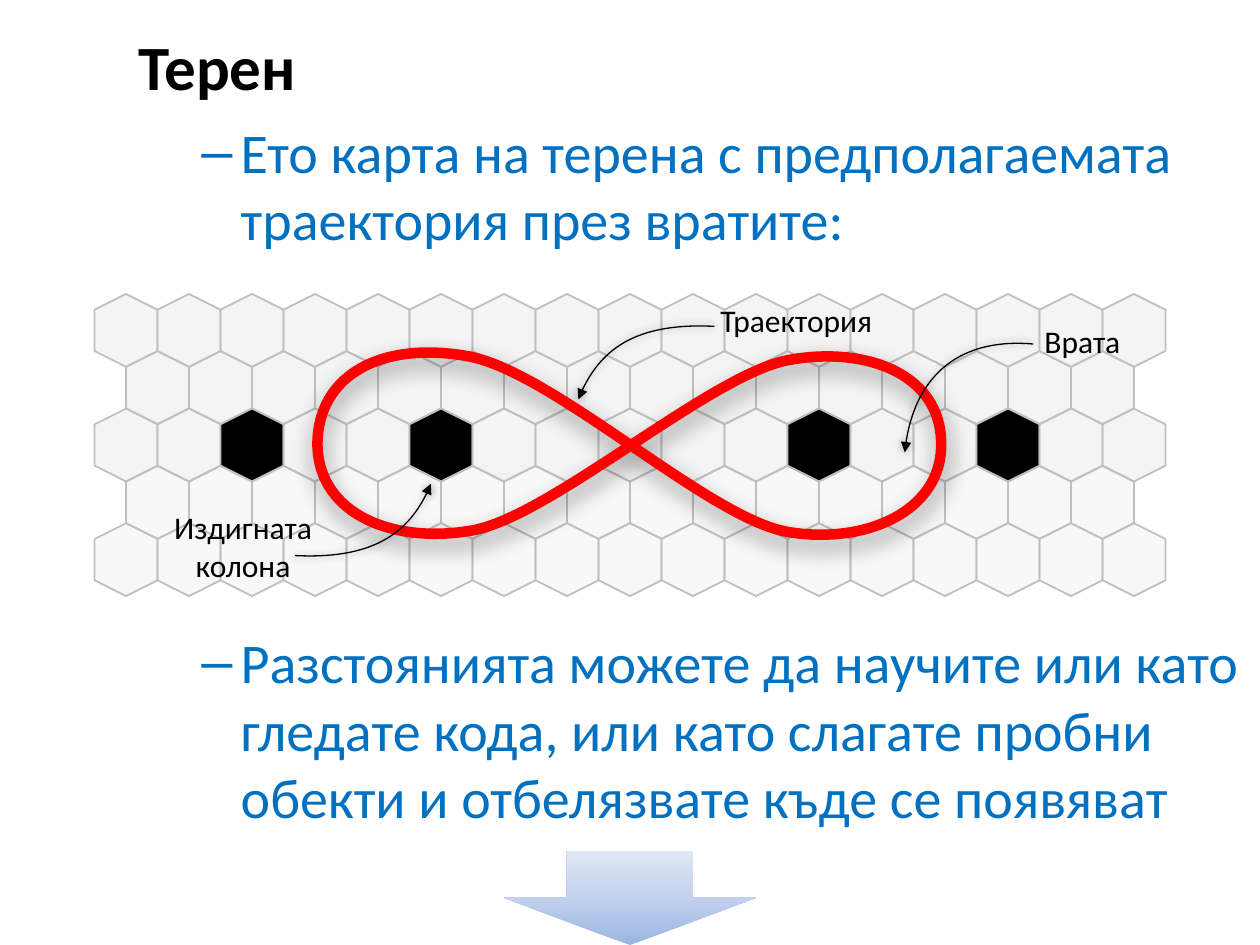
from copy import deepcopy

from lxml.etree import SubElement
from pptx import Presentation
from pptx.dml.color import RGBColor
from pptx.enum.shapes import MSO_SHAPE
from pptx.enum.text import MSO_ANCHOR, PP_ALIGN
from pptx.oxml.ns import qn
from pptx.util import Pt

HUES = {
    "ink": "000000", "blue": "0070C0", "red": "FF0000",
    "cell": "EAEAEA", "edge": "BFBFBF",
    "deep": "9AB5E4", "mid": "C2D1ED", "pale": "E1E8F5",
}
FONT = "Calibri"

# Field grid: column step, row step, hexagon height
STEP, ROW, TALL = 36, 32.76, 41.6
COLS, ROWS = 17, 5
POSTS = {(2, 2), (2, 5), (2, 11), (2, 14)}

# Each curve is a start point, then two handles and an end for each segment
TRACK = [
    (483.8, 85.4),
    (483.8, 45.8), (440.6, 29.3), (396, 37.9),
    (351.4, 46.6), (260.6, 127.2), (216, 135.1),
    (171.4, 143), (128.2, 126.5), (127.4, 86.2),
    (127.4, 45.8), (164.9, 26.4), (214.6, 35.8),
    (263.5, 45.8), (349.9, 127.2), (395.3, 135.8),
    (439.9, 143.8), (484.6, 124.3), (483.8, 85.4),
]
# Label, its box, and the pointer that leads from it
NOTES = [
    ("Врата", (513.4, 12.7, 102.2, 29),
     [(536.4, 28.6), (496.1, 25), (467.3, 46.6), (463, 90.5)]),
    ("Траектория", (349.9, 0.5, 102.2, 29),
     [(354.2, 18.5), (311, 16.3), (287.3, 32.2), (276.5, 60.2)]),
    ("Издигната колона", (33.8, 118.6, 102.2, 51),
     [(114.5, 149.5), (157.7, 151.7), (181.4, 135.8), (192.2, 108.5)]),
]


def rgb(name):
    return RGBColor.from_string(HUES[name])


def frame(slide, x, y, w, h):
    box = slide.shapes.add_textbox(Pt(x), Pt(y), Pt(w), Pt(h))
    box.text_frame.word_wrap = True
    box.text_frame.vertical_anchor = MSO_ANCHOR.TOP
    return box.text_frame


def write(par, text, size=18, hue="ink", bold=False, align=PP_ALIGN.LEFT,
          before=0, dash=False):
    run = par.add_run()
    run.text = text
    font = run.font
    font.name, font.size, font.bold = FONT, Pt(size), bold
    font.color.rgb = rgb(hue)
    par.alignment = align
    par.space_before = Pt(before)
    if dash:
        par.level = 1
        props = par._p.get_or_add_pPr()
        props.set("marL", str(Pt(58.5)))
        props.set("indent", str(Pt(-22.5)))
        SubElement(props, qn("a:buFont"), typeface="Arial")
        SubElement(props, qn("a:buChar"), char="–")


def shade(shape, blur, dist, angle):
    """Give the shape a soft black shadow."""
    shape.shadow.inherit = False
    effects = shape.element.spPr.find(qn("a:effectLst"))
    outer = SubElement(effects, qn("a:outerShdw"), blurRad=str(Pt(blur)),
                       dist=str(Pt(dist)), dir=str(angle * 60000),
                       algn="ctr", rotWithShape="0")
    color = SubElement(outer, qn("a:srgbClr"), val=HUES["ink"])
    SubElement(color, qn("a:alpha"), val="40000")


def curve(slide, x, y, points, hue, width, close=False):
    """Draw Bezier segments; the anchors give the outline's box."""
    spots = [(Pt(x + a), Pt(y + b)) for a, b in points]
    ends = spots[::3]
    pen = slide.shapes.build_freeform(*ends[0], scale=1)
    pen.add_line_segments(ends[1:], close=close)
    shape = pen.convert_to_shape()
    left, top = (min(axis) for axis in zip(*ends))
    for i, line in enumerate(list(shape.element.iter(qn("a:lnTo")))):
        bend = SubElement(line.getparent(), qn("a:cubicBezTo"))
        for a, b in spots[3 * i + 1:3 * i + 4]:
            SubElement(bend, qn("a:pt"), x=str(a - left), y=str(b - top))
        line.getparent().replace(line, bend)
    shape.fill.background()
    shape.line.color.rgb = rgb(hue)
    shape.line.width = Pt(width)
    return shape


def cell(slide, x, y, post, alpha):
    """Place an upright hexagon centred on x, y."""
    shape = slide.shapes.add_shape(
        MSO_SHAPE.HEXAGON, Pt(x - TALL / 2), Pt(y - STEP / 2),
        Pt(TALL), Pt(STEP))
    shape.rotation = 90
    shape.shadow.inherit = False
    shape.fill.solid()
    shape.fill.fore_color.rgb = rgb("ink" if post else "cell")
    if not post:
        color = shape.element.spPr.find(qn("a:solidFill"))[0]
        SubElement(color, qn("a:alpha"), val=str(alpha * 1000))
    shape.line.color.rgb = rgb("edge")
    shape.line.width = Pt(1)


def field(slide, x, y):
    for row in range(ROWS):
        odd = row % 2
        for col in range(COLS - odd):
            cell(slide, x + STEP * (col + (1 + odd) / 2),
                 y + TALL / 2 + ROW * row,
                 (row, col) in POSTS, 50 if row < 3 else 30)
    shade(curve(slide, x, y, TRACK, "red", 6, close=True), 13, 5, 80)
    for text, (dx, dy, w, h), points in NOTES:
        arrow = curve(slide, x, y, points, "ink", 0.75)
        shade(arrow, 5, 0, 0)
        SubElement(arrow.element.spPr.find(qn("a:ln")), qn("a:tailEnd"),
                   type="triangle")
        label = frame(slide, x + dx, y + dy, w, h)
        write(label.paragraphs[0], text, align=PP_ALIGN.CENTER)


def body(slide, x, y, w, h):
    text = frame(slide, x, y, w, h)
    write(text.paragraphs[0], "Терен", size=36, bold=True)
    points = [
        ("Ето карта на терена с предполагаемата траектория през вратите:", 8),
        ("Разстоянията можете да научите или като гледате кода, "
         "или като слагате пробни обекти и отбелязвате къде се появяват", 215),
    ]
    for words, gap in points:
        write(text.add_paragraph(), words, size=32, hue="blue",
              before=gap, dash=True)


def down(slide, x, y, w, h):
    """Place the block arrow that leads on to the next slide."""
    shape = slide.shapes.add_shape(
        MSO_SHAPE.DOWN_ARROW, Pt(x), Pt(y), Pt(w), Pt(h))
    shape.shadow.inherit = False
    shape.line.fill.background()
    fill = shape.fill
    fill.gradient()
    fill.gradient_angle = 90
    stops = next(shape.element.iter(qn("a:gsLst")))
    stops.insert(1, deepcopy(stops[0]))
    for i, (stop, hue) in enumerate(
            zip(fill.gradient_stops, ("deep", "mid", "pale"))):
        stop.color.rgb = rgb(hue)
        stop.position = i / 2


def main():
    deck = Presentation()
    deck.slide_width, deck.slide_height = Pt(720), Pt(540)
    slide = deck.slides.add_slide(deck.slide_layouts[6])
    down(slide, 288, 486, 144, 54)
    body(slide, 72, 12.2, 648, 516)
    field(slide, 54, 168)
    deck.save("out.pptx")


if __name__ == "__main__":
    main()
